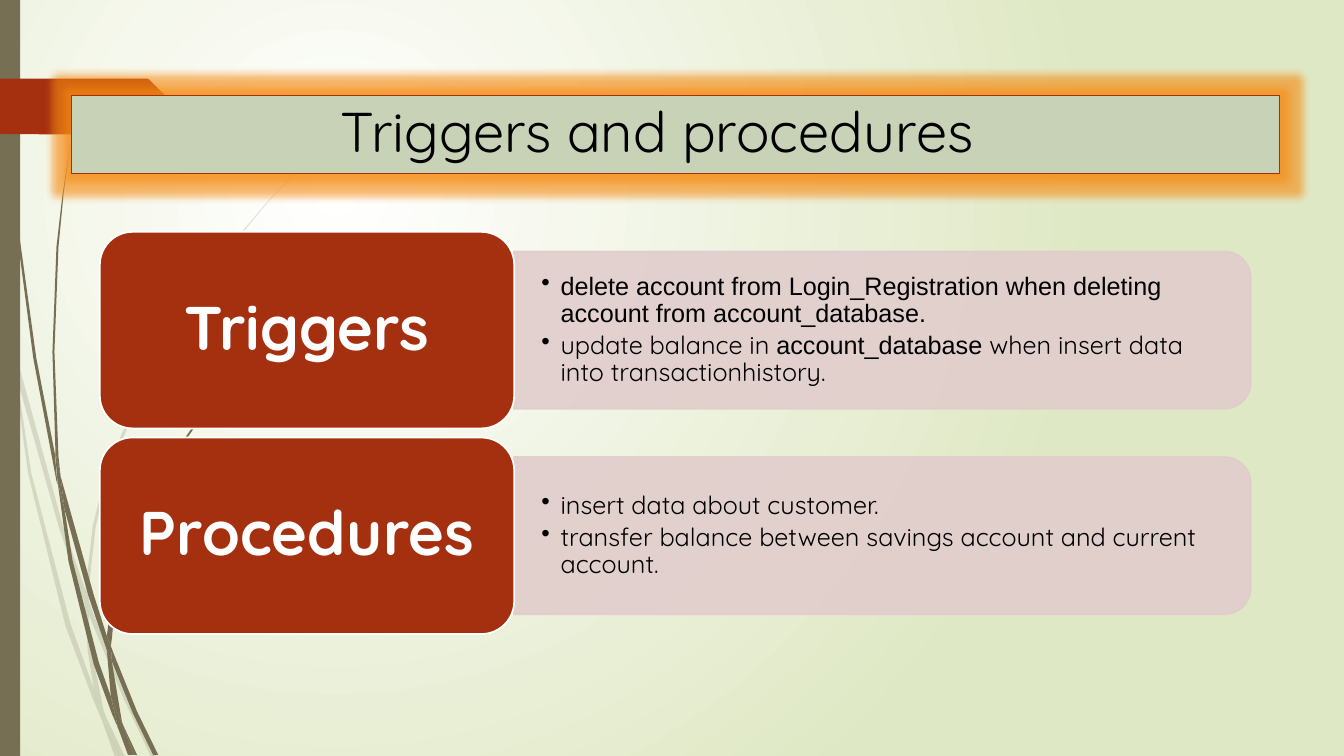
from dataclasses import dataclass
from typing import Any

from lxml import etree
from pptx import Presentation
from pptx.dml.color import RGBColor
from pptx.enum.shapes import MSO_SHAPE
from pptx.enum.text import MSO_ANCHOR, PP_ALIGN
from pptx.oxml.ns import qn
from pptx.util import Inches, Pt

RECTANGLE = MSO_SHAPE.RECTANGLE
ROUNDED = MSO_SHAPE.ROUNDED_RECTANGLE
ROUND_TOP = MSO_SHAPE.ROUND_2_SAME_RECTANGLE
MIDDLE = MSO_ANCHOR.MIDDLE
LEFT, CENTER = PP_ALIGN.LEFT, PP_ALIGN.CENTER

OLIVE, RUST, SAGE, ROSE = "766F54", "A53010", "C7D2B7", "E1CDCC"
WHITE, BLACK, PALE_GREEN, ORANGE = "FFFFFF", "000000", "DFE8C4", "F58A10"
SANS, ROUND_FONT = "Arial", "Quicksand"

FIRST_ROW_TOP, ROW_PITCH = 2.3, 2.04

# Outlines are x y pairs in inches.
FAINT_WISPS = (
    "0.11 3.5 0.09 3.22 0 2.82 0 2.99 0.1 3.44",
    "0.58 5.22 0.84 5.99 0.85 5.86 0.62 5.2 0.14 3.45 0.17 3.76",
    "0.92 6.07 0.88 5.96 0.88 6.1 1.23 6.94 1.5 7.51 1.55 7.51 1.27 6.92",
    "1.19 7.51 1.24 7.51 1.05 7.11",
    "0.93 6.83 0.7 6.19 0.31 4.69 0.17 3.76 0.11 3.5 0.28 4.7 0.65 6.21 0.92 6.93 1.01 7.14 0.99 7.07",
    "0.84 5.99 0.87 6.46 0.93 6.83 0.96 6.92 1.05 7.11 1.03 7.06 0.91 6.46 0.88 6.1 0.88 6.08",
    "0.88 5.84 0.95 5.22 1.1 4.62 1.6 3.49 2.29 2.45 2.68 1.98 2.9 1.75 3.12 1.54 3.12 1.53 2.89 1.75 "
    "2.68 1.97 2.28 2.44 1.58 3.48 1.07 4.61 0.92 5.22 0.85 5.84 0.85 5.86 0.88 5.96",
    "1.01 7.14 1.14 7.51 1.19 7.51",
    "0.88 6.08 0.88 6.1 0.88 5.96 0.85 5.86 0.84 5.99",
    "0.96 6.92 0.93 6.83 0.99 7.07 1.01 7.14 1.19 7.51 1.05 7.11",
)
DARK_WISPS = (
    "0.07 1.1 0.17 2.33 0.33 3.55 0.56 4.77 0.57 4.81 0.55 4.57 0.55 4.53 0.36 3.55 0.19 2.32 0.08 1.09 "
    "0.05 0.48 0.04 0 0.03 0 0.04 0.48",
    "0.88 5.92 1.06 6.45 1.06 6.33 1.06 6.31 0.93 5.9 0.6 4.72 0.64 5.05",
    "1.13 6.49 1.1 6.41 1.11 6.56 1.32 7.08 1.52 7.49 1.57 7.49 1.36 7.06",
    "1.1 6.91 0.98 6.57 0.72 5.56 0.64 5.05 0.57 4.77 0.68 5.57 0.93 6.59 1.11 7.08 1.17 7.22 1.16 7.17",
    "0.6 4.72 0.58 4.53 0.54 3.49 0.58 2.45 0.63 1.93 0.7 1.41 0.62 1.93 0.56 2.45 0.52 3.49 0.55 4.49",
    "1.33 7.49 1.36 7.49 1.22 7.19",
    "0.57 4.77 0.64 5.05 0.6 4.72 0.55 4.49 0.55 4.53",
    "1.11 6.33 1.15 5.92 1.25 5.52 1.58 4.76 2.05 4.06 2.31 3.74 2.45 3.59 2.61 3.44 2.45 3.58 2.31 3.73 "
    "2.04 4.05 1.56 4.74 1.22 5.51 1.11 5.91 1.06 6.31 1.1 6.41",
    "1.17 7.22 1.27 7.49 1.31 7.49",
    "1.06 6.45 1.1 6.91 1.16 7.06 1.22 7.19 1.21 7.16 1.11 6.56 1.09 6.51",
    "1.06 6.45 1.09 6.51 1.11 6.56 1.1 6.41 1.06 6.31 1.06 6.33",
    "1.16 7.06 1.1 6.91 1.16 7.17 1.17 7.22 1.3 7.49 1.33 7.49 1.22 7.19",
)
TAG_OUTLINE = "0 0.78 1.46 0.78 1.48 0.79 1.73 1.04 1.74 1.06 1.73 1.08 1.48 1.33 1.46 1.34 0 1.33"


@dataclass(frozen=True)
class Run:
    text: str
    font: str = ROUND_FONT


@dataclass(frozen=True)
class Row:
    label: str
    bullets: tuple[tuple[Run, ...], ...]


ROWS = (
    Row("Triggers", (
        (Run("delete account from Login_Registration when deleting account from account_database.", SANS),),
        (Run("update balance in "), Run("account_database ", SANS),
         Run("when insert data into transactionhistory.")),
    )),
    Row("Procedures", (
        (Run("insert data about customer."),),
        (Run("transfer balance between savings account and current account."),),
    )),
)


def color(hex_code: str) -> RGBColor:
    return RGBColor.from_string(hex_code)


def apply(target: Any, values: dict[str, Any]) -> None:
    for name, value in values.items():
        setattr(target, name, value)


def paint(shape: Any, fill: str, line: str | None = None, width: float = 1.25, alpha: int = 100) -> None:
    shape.shadow.inherit = False
    shape.fill.solid()
    shape.fill.fore_color.rgb = color(fill)
    if line:
        shape.line.color.rgb = color(line)
        shape.line.width = Pt(width)
    else:
        shape.line.fill.background()
    if alpha < 100:
        for element in shape.element.spPr.iter(qn("a:srgbClr")):
            etree.SubElement(element, qn("a:alpha"), val=str(alpha * 1000))


def add_box(slide: Any, kind: Any, left: float, top: float, width: float, height: float) -> Any:
    return slide.shapes.add_shape(kind, Inches(left), Inches(top), Inches(width), Inches(height))


def add_polygon(slide: Any, outline: str, fill: str, alpha: int = 100) -> None:
    lengths = [Inches(float(number)) for number in outline.split()]
    corners = list(zip(lengths[::2], lengths[1::2]))
    builder = slide.shapes.build_freeform(*corners[0])
    builder.add_line_segments(corners[1:], close=True)
    paint(builder.convert_to_shape(), fill, alpha=alpha)


def write(paragraph: Any, runs: tuple[Run, ...], size: int, ink: str, bold: bool = False,
          alignment: Any = LEFT, space_after: float = 0) -> None:
    apply(paragraph, {"alignment": alignment, "line_spacing": 0.9, "space_after": Pt(space_after)})
    for item in runs:
        run = paragraph.add_run()
        run.text = item.text
        apply(run.font, {"name": item.font, "size": Pt(size), "bold": bold})
        run.font.color.rgb = color(ink)


def set_frame(shape: Any, horizontal: float, vertical: float) -> Any:
    """Set wrapping, anchor and margins, and return the text frame."""
    frame = shape.text_frame
    apply(frame, {"word_wrap": True, "vertical_anchor": MIDDLE,
                  "margin_left": Inches(horizontal), "margin_right": Inches(horizontal),
                  "margin_top": Inches(vertical), "margin_bottom": Inches(vertical)})
    return frame


def add_background(slide: Any) -> None:
    fill = slide.background.fill
    fill.gradient()
    for stop, position, shade in zip(fill.gradient_stops, (0, 1), (WHITE, PALE_GREEN)):
        stop.position = position
        stop.color.rgb = color(shade)
    gradient = next(slide.element.iter(qn("a:gradFill")))
    gradient.remove(gradient.find(qn("a:lin")))
    circle = etree.SubElement(gradient, qn("a:path"), {"path": "circle"})
    etree.SubElement(circle, qn("a:fillToRect"), l="50000", t="50000", r="100000", b="100000")


def add_title(slide: Any) -> None:
    title = add_box(slide, RECTANGLE, 0.71, 0.95, 11.98, 0.77)
    paint(title, SAGE, RUST, 0.75)
    effects = title.element.spPr.find(qn("a:effectLst"))
    glow = etree.SubElement(effects, qn("a:glow"), rad=str(Pt(11)))
    shade = etree.SubElement(glow, qn("a:srgbClr"), val=ORANGE)
    etree.SubElement(shade, qn("a:alpha"), val="60000")
    frame = set_frame(title, 0.1, 0.05)
    frame.margin_left = Inches(2.67)
    write(frame.paragraphs[0], (Run("Triggers and procedures"),), 40, BLACK)


def add_row(slide: Any, row: Row, top: float) -> None:
    panel = add_box(slide, ROUND_TOP, 7.97, top - 2.68, 1.56, 7.31)
    panel.rotation = 90
    paint(panel, ROSE, ROSE, alpha=90)

    details = slide.shapes.add_textbox(Inches(5.1), Inches(top + 0.27), Inches(7.23), Inches(1.41))
    frame = set_frame(details, 0.27, 0.14)
    for index, runs in enumerate(row.bullets):
        paragraph = frame.add_paragraph() if index else frame.paragraphs[0]
        write(paragraph, runs, 18, BLACK, space_after=3)
        properties = paragraph._p.get_or_add_pPr()
        properties.set("marL", str(Inches(0.19)))
        properties.set("indent", str(-Inches(0.19)))
        etree.SubElement(properties, qn("a:buChar"), char="•")

    label = add_box(slide, ROUNDED, 0.99, top, 4.11, 1.95)
    paint(label, RUST, WHITE)
    write(set_frame(label, 0.18, 0.09).paragraphs[0], (Run(row.label),), 44, WHITE, True, CENTER)


def main() -> None:
    presentation = Presentation()
    apply(presentation, {"slide_width": Inches(13.33), "slide_height": Inches(7.5)})
    slide = presentation.slides.add_slide(presentation.slide_layouts[6])
    add_background(slide)
    for wisps, alpha in ((FAINT_WISPS, 20), (DARK_WISPS, 100)):
        for outline in wisps:
            add_polygon(slide, outline, OLIVE, alpha)
    paint(add_box(slide, RECTANGLE, 0, 0, 0.2, 7.5), OLIVE)
    add_polygon(slide, TAG_OUTLINE, RUST)
    add_title(slide)
    for index, row in enumerate(ROWS):
        add_row(slide, row, FIRST_ROW_TOP + index * ROW_PITCH)
    presentation.save("out.pptx")


if __name__ == "__main__":
    main()
